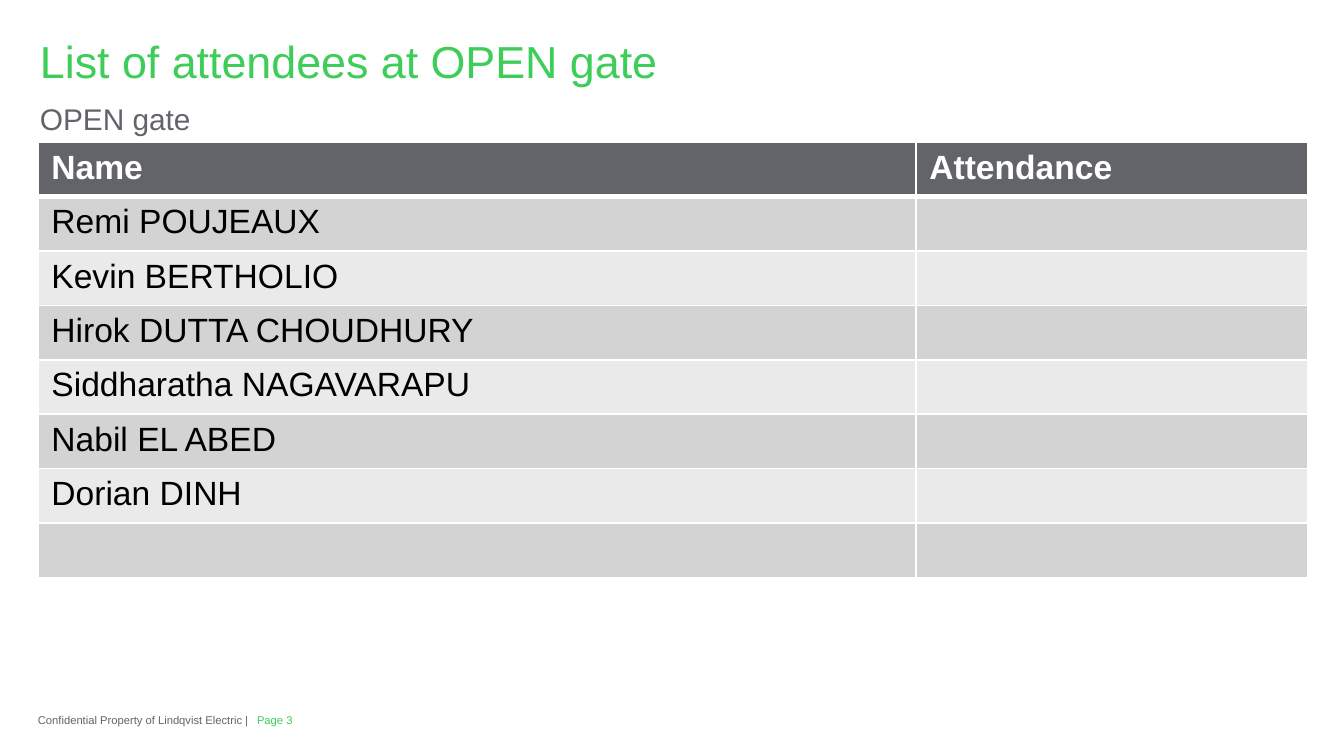
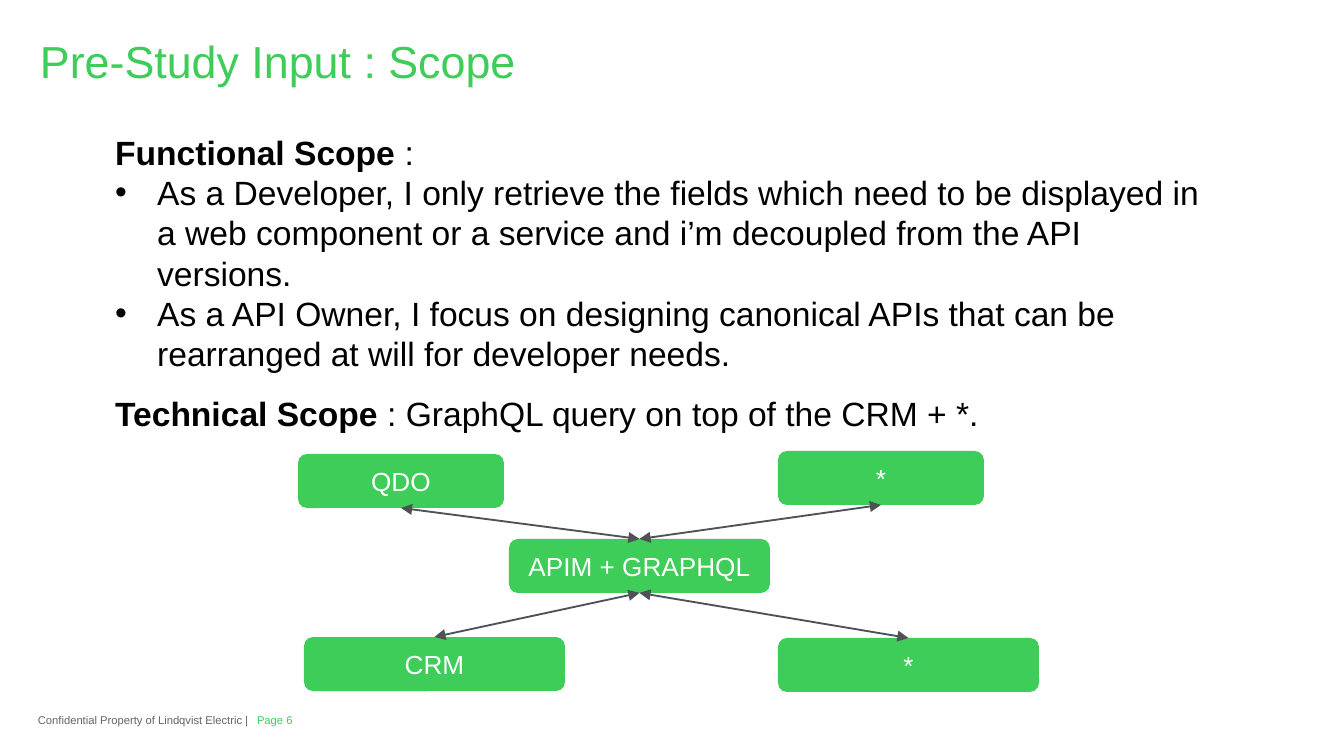
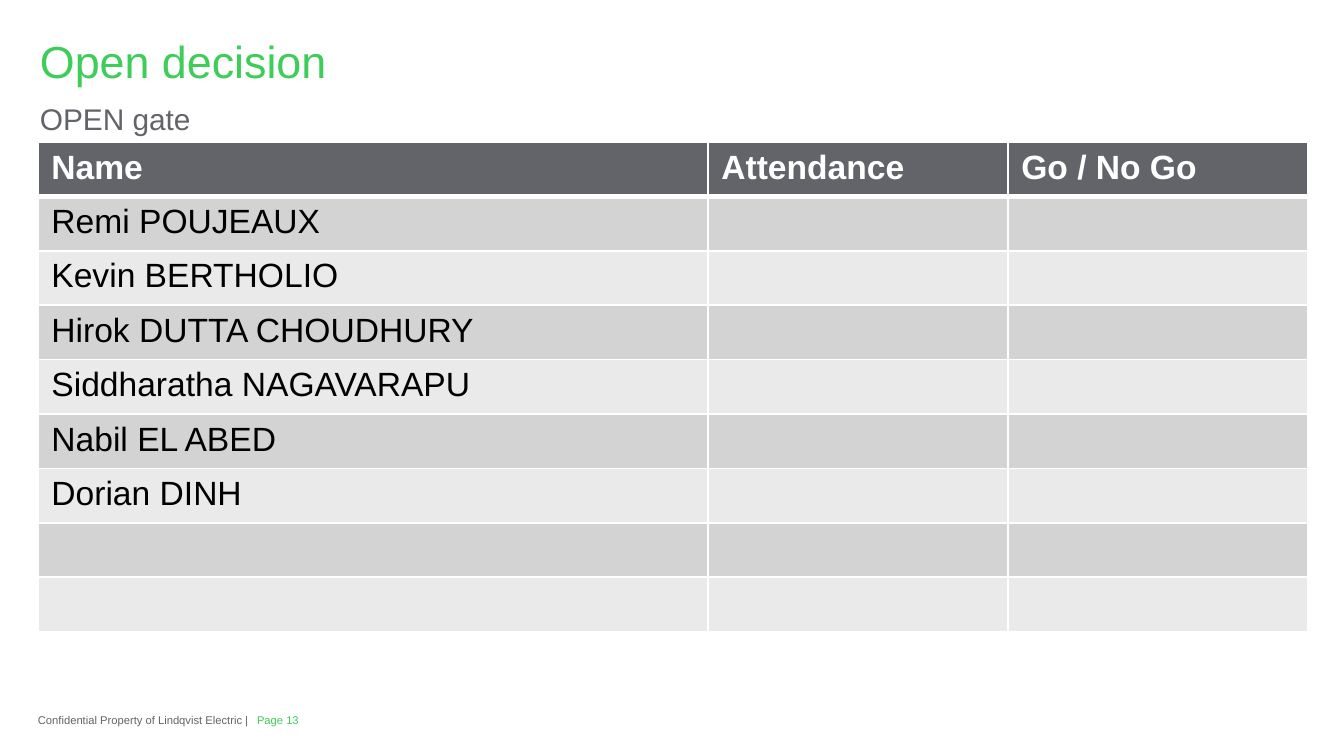
from lxml.etree import SubElement
from pptx import Presentation
from pptx.dml.color import RGBColor as Rgb
from pptx.enum.shapes import MSO_CONNECTOR as Connector, MSO_SHAPE as Preset
from pptx.enum.text import MSO_ANCHOR as Anchor, MSO_AUTO_SIZE as AutoSize, PP_ALIGN as Align
from pptx.oxml import parse_xml
from pptx.oxml.ns import nsdecls, qn
from pptx.util import Pt

COLORS = {
    "green": "3DCD58", "gray": "626469", "arrow": "4F5156", "black": "000000",
    "white": "FFFFFF", "dark_band": "D3D3D4", "light_band": "EAEAEB",
}
FLUSH = {"margin_left": 0, "margin_top": 0, "margin_right": 0, "margin_bottom": 0, "word_wrap": True}
GROW = {"word_wrap": True, "auto_size": AutoSize.SHAPE_TO_FIT_TEXT}
HEADING = {"space_before": Pt(5), "space_after": Pt(5)}
FOOTER = {**FLUSH, **GROW, "vertical_anchor": Anchor.MIDDLE}
BOTTOM, TOP = 2, 0


def px(*lengths):
    scaled = [round(length * 914400 / 134.4) for length in lengths]
    return scaled if len(scaled) > 1 else scaled[0]


def write(frame, paragraphs, size, color, frame_format={}, paragraph_format={}):
    for key, value in frame_format.items():
        setattr(frame, key, value)
    for index, runs in enumerate(paragraphs):
        paragraph = frame.add_paragraph() if index else frame.paragraphs[0]
        for key, value in paragraph_format.items():
            setattr(paragraph, key, value)
        for text, bold in runs:
            run = paragraph.add_run()
            run.text = text
            font_format = {"name": "Arial", "size": Pt(size), "bold": bold}
            for key, value in font_format.items():
                setattr(run.font, key, value)
            run.font.color.rgb = Rgb.from_string(COLORS[color])


deck = Presentation()
deck.slide_width, deck.slide_height = px(1344, 756)

pages = [
    ("List of attendees at OPEN gate", "OPEN gate", 3),
    ("Pre-Study Input : Scope", None, 6),
    ("Open decision", "OPEN gate", 13),
]
slides = []
for title, subtitle, number in pages:
    slide = deck.slides.add_slide(deck.slide_layouts[6])
    slides.append(slide)
    labels = [
        ((257, 714, 77, 13), f"Page {number}", 6, "green", FOOTER, {}),
        ((38, 714, 222, 13), "Confidential Property of Lindqvist Electric |", 6, "gray", FOOTER, {}),
        ((38, 34, 1271, 54), title, 24, "green", FLUSH, HEADING),
    ]
    if subtitle:
        labels.append(((38, 101, 1271, 38), subtitle, 16, "gray", FLUSH, HEADING))
    for box, text, size, color, frame_format, paragraph_format in labels:
        label = slide.shapes.add_textbox(*px(*box))
        write(label.text_frame, [[(text, False)]], size, color, frame_format, paragraph_format)
        if paragraph_format:
            label.text_frame.paragraphs[0]._p.get_or_add_pPr().set("marL", str(px(2)))

attendees = [
    "Remi POUJEAUX", "Kevin BERTHOLIO", "Hirok DUTTA CHOUDHURY",
    "Siddharatha NAGAVARAPU", "Nabil EL ABED", "Dorian DINH",
]
rosters = [
    (slides[0], ["Name", "Attendance"], [878, 392], 8, 436),
    (slides[2], ["Name", "Attendance", "Go / No Go"], [670, 300, 300], 9, 490),
]
for slide, headers, widths, row_count, height in rosters:
    roster = slide.shapes.add_table(row_count, len(headers), *px(38, 142, sum(widths), height)).table
    for column, width in zip(roster.columns, widths):
        column.width = px(width)
    for row_index, row in enumerate(roster.rows):
        row.height = px(height / row_count)
        is_header = row_index == 0
        fill = "gray" if is_header else "dark_band" if row_index % 2 else "light_band"
        for column_index, cell in enumerate(row.cells):
            properties = cell._tc.get_or_add_tcPr()
            for side in ("lnL", "lnR", "lnT", "lnB"):
                thick = (is_header and side == "lnB") or (row_index == 1 and side == "lnT")
                properties.append(parse_xml(
                    f'<a:{side} {nsdecls("a")} w="{Pt(3 if thick else 1)}"><a:solidFill>'
                    f'<a:srgbClr val="{COLORS["white"]}"/></a:solidFill></a:{side}>'))
            cell.fill.solid()
            cell.fill.fore_color.rgb = Rgb.from_string(COLORS[fill])
            if is_header:
                write(cell.text_frame, [[(headers[column_index], True)]], 18, "white")
            elif column_index == 0 and row_index <= len(attendees):
                write(cell.text_frame, [[(attendees[row_index - 1], False)]], 18, "black")

scope = slides[1].shapes
functional = scope.add_textbox(*px(102, 125, 1113, 298)).text_frame
write(functional, [
    [("Functional Scope ", True), (":", False)],
    [("As a Developer, I only retrieve the fields which need to be displayed in a web component "
      "or a service and i’m decoupled from the API versions.", False)],
    [("As a API Owner, I focus on designing canonical APIs that can be rearranged at will "
      "for developer needs.", False)],
], 18, "black", GROW)
for story in functional.paragraphs[1:]:
    properties = story._p.get_or_add_pPr()
    properties.set("marL", str(px(42)))
    properties.set("indent", str(px(-42)))
    SubElement(properties, qn("a:buFont"), typeface="Arial")
    SubElement(properties, qn("a:buChar"), char="•")

technical = scope.add_textbox(*px(102, 386, 1086, 54)).text_frame
write(technical, [[("Technical Scope ", True), (": GraphQL query on top of the CRM + *.", False)]],
      18, "black", GROW)

systems = {}
for role, text, left, top, width in [
    ("qdo", "QDO", 298, 454, 206),
    ("gateway", "APIM + GRAPHQL", 509, 539, 261),
    ("crm", "CRM", 304, 637, 261),
    ("lower_other", "*", 778, 638, 261),
    ("upper_other", "*", 778, 451, 206),
]:
    system = scope.add_shape(Preset.ROUNDED_RECTANGLE, *px(left, top, width, 54))
    system.shadow.inherit = False
    system.fill.solid()
    system.fill.fore_color.rgb = Rgb.from_string(COLORS["green"])
    system.line.fill.background()
    write(system.text_frame, [[(text, False)]], 14, "white",
          {"word_wrap": True, "vertical_anchor": Anchor.MIDDLE}, {"alignment": Align.CENTER})
    systems[role] = system

for start, start_side, end, end_side in [
    ("qdo", BOTTOM, "gateway", TOP),
    ("gateway", BOTTOM, "crm", TOP),
    ("gateway", BOTTOM, "lower_other", TOP),
    ("upper_other", BOTTOM, "gateway", TOP),
]:
    exchange = scope.add_connector(Connector.STRAIGHT, 0, 0, 0, 0)
    exchange.begin_connect(systems[start], start_side)
    exchange.end_connect(systems[end], end_side)
    exchange.line.width = Pt(1)
    exchange.line.color.rgb = Rgb.from_string(COLORS["arrow"])
    stroke = exchange.line._get_or_add_ln()
    for arrowhead in ("a:headEnd", "a:tailEnd"):
        SubElement(stroke, qn(arrowhead), type="triangle")
    SubElement(exchange._element.spPr, qn("a:effectLst"))

deck.save("out.pptx")
